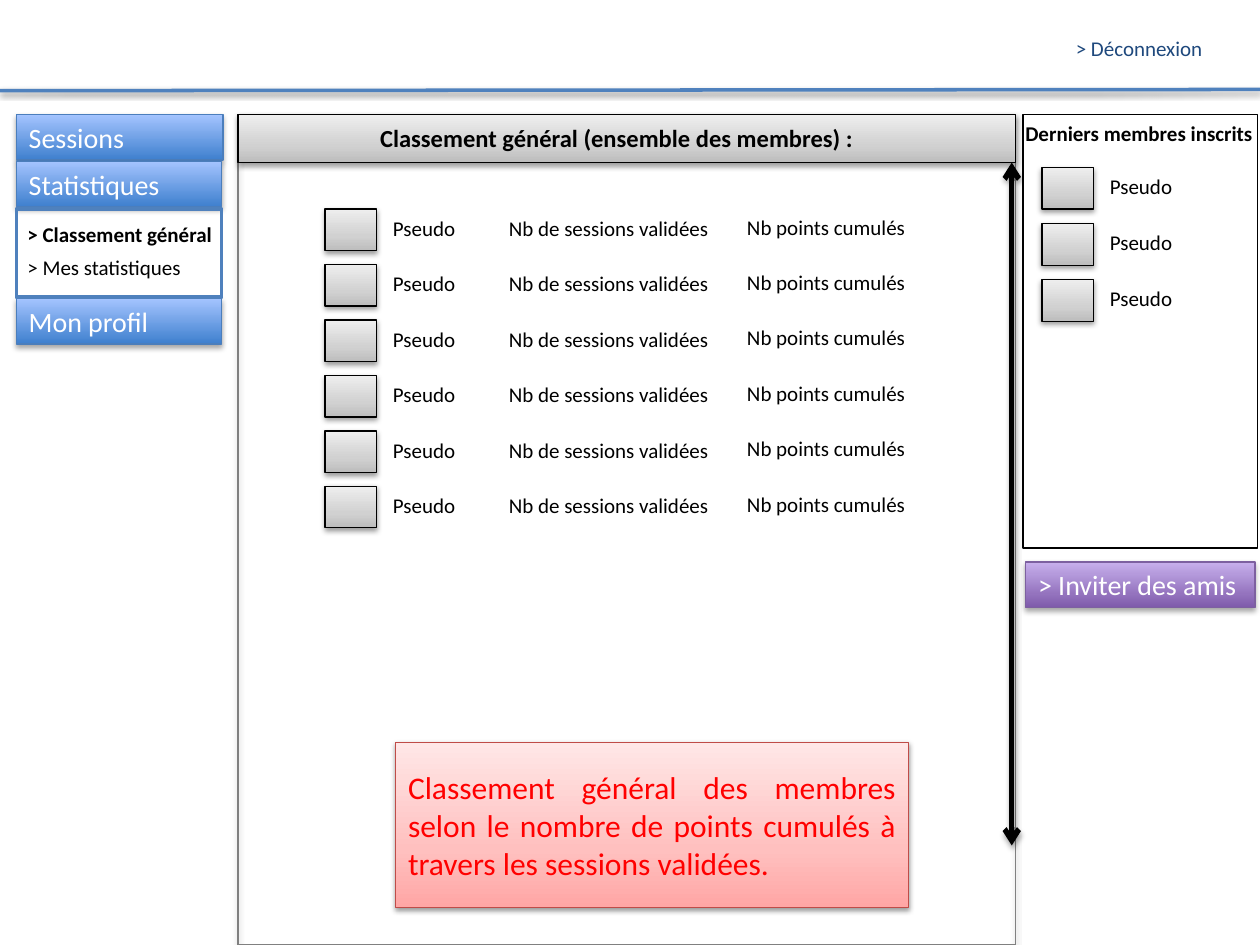
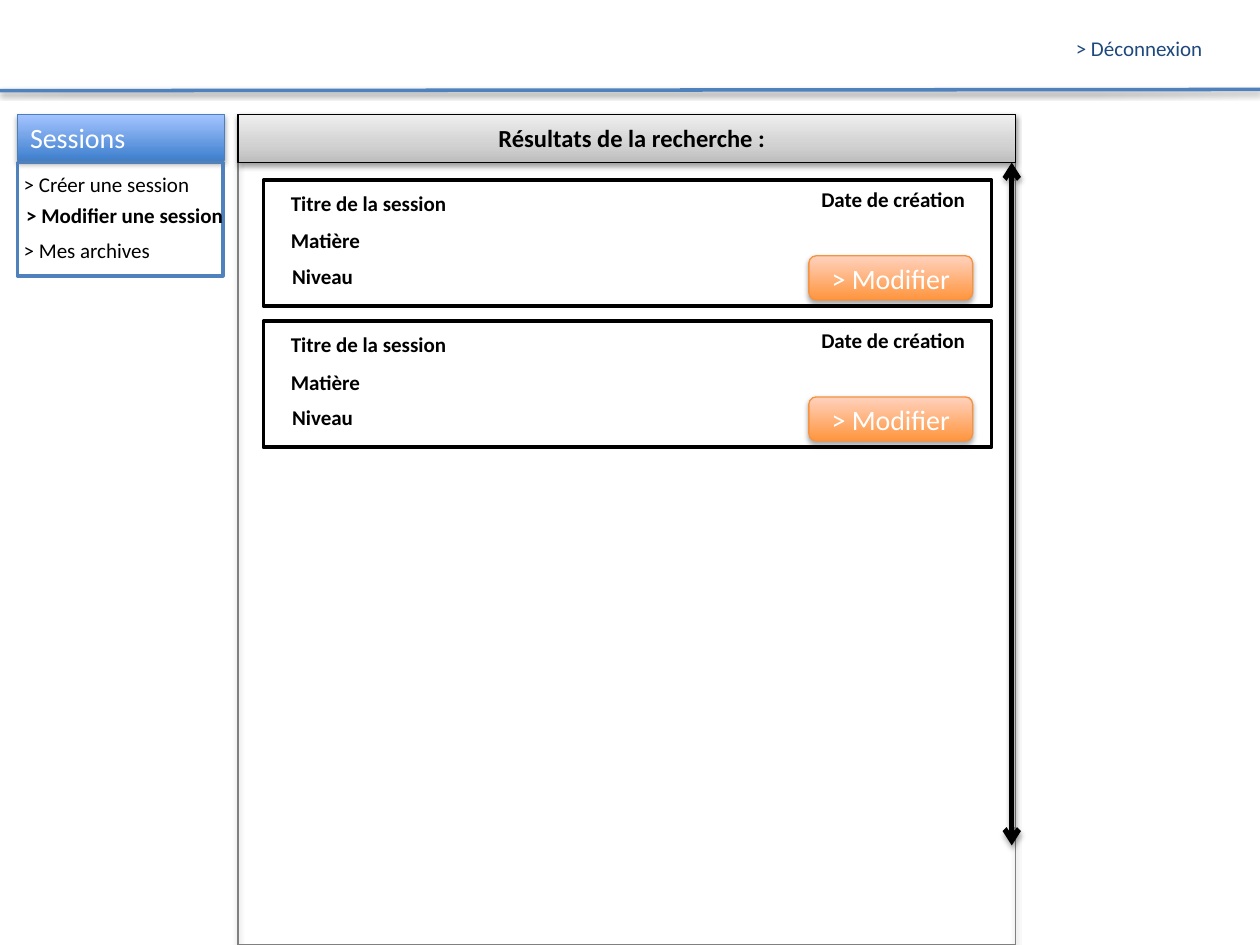
from lxml import etree
from pptx import Presentation
from pptx import util as u
from pptx.dml.color import RGBColor
from pptx.enum import shapes, text
from pptx.oxml import ns

FONT = "Calibri"
COLORS = {
    "black": "000000", "white": "FFFFFF", "red": "FF0000", "navy": "1F497D",
    "accent": "4F81BD", "frame": "808080", "blue edge": "4B7EBC",
    "violet edge": "7D60A0", "orange edge": "F69240", "red edge": "BF4C48",
}
GRADIENTS = {
    "gray": [(0, "BDBDBD"), (35, "D1D1D1"), (100, "EEEEEE")],
    "rose": [(0, "FFA6A5"), (35, "FFC0BF"), (100, "FFE7E7")],
    "blue": [(0, "3F80CE"), (100, "A4C4FF")],
    "violet": [(0, "7F5BAB"), (100, "C8B0ED")],
    "orange": [(0, "FF953E"), (100, "FFD2BD")],
}
SOFT = (38, 1.6)
DEEP = (35, 1.8)
ALIGN = {"l": text.PP_ALIGN.LEFT, "c": text.PP_ALIGN.CENTER, "j": text.PP_ALIGN.JUSTIFY}

LOGOUT = "> Déconnexion"
RANKING = {
    "title": ("Classement général (ensemble des membres) :", 2.16, 5.47),
    "buttons": [("Sessions", 0.13, 0.91, 1.64), ("Statistiques", 0.13, 1.28, 1.63),
                ("Mon profil", 0.13, 2.37, 1.63)],
    "submenu": (0.13, 1.66, 1.63, 0.7),
    "links": [("> Classement général", 0.12, 1.71, True),
              ("> Mes statistiques", 0.12, 1.97, False)],
}
SEARCH = {
    "title": ("Résultats de la recherche :", 3.65, 2.73),
    "buttons": [("Sessions", 0.14, 0.91, 1.64)],
    "submenu": (0.14, 1.29, 1.63, 0.9),
    "links": [("> Créer une session", 0.09, 1.31, False),
              ("> Modifier une session", 0.11, 1.56, True),
              ("> Mes archives", 0.09, 1.84, False)],
}
MEMBER_COLUMNS = [("Pseudo", 3.02, 0, 0.98), ("Nb points cumulés", 5.83, -0.01, 1.49),
                  ("Nb de sessions validées", 3.94, 0, 1.98)]
MEMBER_COUNT, MEMBER_TOP, MEMBER_STEP = 6, 1.66, 0.44
NEWCOMERS = ["Pseudo"] * 3
NEWCOMER_TOP, NEWCOMER_STEP = 1.33, 0.445
NEWCOMERS_TITLE = "Derniers membres inscrits"
INVITE = "> Inviter des amis"
NOTE = ("Classement général des membres selon le nombre de points cumulés "
        "à travers les sessions validées.")
SESSION_FIELDS = [("Titre de la session", 2.21, 0.03, 1.5), ("Matière", 2.21, 0.33, 1.5),
                  ("Niveau", 2.22, 0.61, 1.5), ("Date de création", 6.42, 0, 1.44)]
SESSION_BUTTON = "> Modifier"
SESSION_TOPS = [1.43, 2.55]


def color(name):
    return RGBColor.from_string(COLORS[name])


def add_shadow(properties, shadow):
    effects = properties.find(ns.qn("a:effectLst"))
    if effects is None:
        effects = etree.SubElement(properties, ns.qn("a:effectLst"))
    if shadow:
        opacity, distance = shadow
        outer = etree.SubElement(effects, ns.qn("a:outerShdw"), blurRad=str(u.Pt(3.1)),
                                 dist=str(u.Pt(distance)), dir="5400000", rotWithShape="0")
        tint = etree.SubElement(outer, ns.qn("a:srgbClr"), val=COLORS["black"])
        etree.SubElement(tint, ns.qn("a:alpha"), val=str(opacity * 1000))


def write(shape, words, size, ink, bold=False, align="l"):
    frame = shape.text_frame
    frame.word_wrap = True
    para = frame.paragraphs[0]
    para.alignment = ALIGN[align]
    span = para.add_run()
    span.text = words
    span.font.name = FONT
    span.font.size = u.Pt(size)
    span.font.bold = bold
    span.font.color.rgb = color(ink)


def add_label(page, words, left, top, width, size=12, ink="black", bold=False, align="l"):
    height = 0.34 if size == 14 else 0.3
    label = page.shapes.add_textbox(*map(u.Inches, (left, top, width, height)))
    write(label, words, size, ink, bold, align)
    label.text_frame.auto_size = text.MSO_AUTO_SIZE.SHAPE_TO_FIT_TEXT


def add_box(page, area, edge, weight=0.75, fill=None, shadow=None, rounded=False):
    kind = shapes.MSO_SHAPE.ROUNDED_RECTANGLE if rounded else shapes.MSO_SHAPE.RECTANGLE
    box = page.shapes.add_shape(kind, *map(u.Inches, area))
    if fill in GRADIENTS:
        box.fill.gradient()
        box.fill.gradient_angle = 90
        stops = box.element.spPr.find(".//" + ns.qn("a:gsLst"))
        for stop in list(stops):
            stops.remove(stop)
        for position, tone in GRADIENTS[fill]:
            stop = etree.SubElement(stops, ns.qn("a:gs"), pos=str(position * 1000))
            etree.SubElement(stop, ns.qn("a:srgbClr"), val=tone)
    elif fill:
        box.fill.solid()
        box.fill.fore_color.rgb = color(fill)
    else:
        box.fill.background()
    box.line.color.rgb = color(edge)
    box.line.width = u.Pt(weight)
    box.shadow.inherit = False
    add_shadow(box.element.spPr, shadow)
    box.text_frame.vertical_anchor = text.MSO_ANCHOR.MIDDLE
    return box


def add_button(page, words, area, tone, align="l", rounded=False):
    button = add_box(page, area, tone + " edge", fill=tone, shadow=DEEP, rounded=rounded)
    write(button, words, 16, "white", align=align)


def add_avatar(page, left, top):
    add_box(page, (left, top, 0.41, 0.33), "black", fill="gray", shadow=SOFT)


def add_line(page, start, end, ink, weight, shadow, arrows=False):
    line = page.shapes.add_connector(shapes.MSO_CONNECTOR.STRAIGHT,
                                     *map(u.Inches, start + end))
    line.line.color.rgb = color(ink)
    line.line.width = u.Pt(weight)
    if arrows:
        stroke = line.element.spPr.find(ns.qn("a:ln"))
        for tip in ("a:headEnd", "a:tailEnd"):
            etree.SubElement(stroke, ns.qn(tip), type="arrow")
    add_shadow(line.element.spPr, shadow)


def add_page(deck, content):
    page = deck.slides.add_slide(deck.slide_layouts[6])
    add_line(page, (0, 0.72), (10, 0.71), "accent", 2, SOFT)
    add_box(page, (1.89, 0.91, 6.17, 6.59), "frame", shadow=DEEP)
    add_label(page, LOGOUT, 8.44, 0.23, 1.34, ink="navy")
    add_line(page, (8.03, 1.29), (8.03, 6.71), "black", 3, DEEP, arrows=True)
    add_box(page, (1.89, 0.91, 6.17, 0.38), "black", fill="gray", shadow=SOFT)
    title, left, width = content["title"]
    add_label(page, title, left, 0.93, width, size=14, bold=True, align="c")
    for words, left, top, width in content["buttons"]:
        add_button(page, words, (left, top, width, 0.36), "blue")
    add_box(page, content["submenu"], "accent", weight=2)
    for words, left, top, bold in content["links"]:
        add_label(page, words, left, top, 1.86, bold=bold)
    return page


def add_ranking(deck):
    page = add_page(deck, RANKING)
    note = add_box(page, (3.14, 5.89, 4.07, 1.31), "red edge", fill="rose", shadow=SOFT)
    write(note, NOTE, 18, "red", align="j")
    for row in range(MEMBER_COUNT):
        top = MEMBER_TOP + row * MEMBER_STEP
        add_avatar(page, 2.58, top)
        for words, left, shift, width in MEMBER_COLUMNS:
            add_label(page, words, left, top + shift, width)
    add_box(page, (8.12, 0.91, 1.86, 3.44), "black", fill="white")
    add_label(page, NEWCOMERS_TITLE, 7.97, 0.91, 2.14, bold=True, align="c")
    for row, name in enumerate(NEWCOMERS):
        top = NEWCOMER_TOP + row * NEWCOMER_STEP
        add_avatar(page, 8.27, top)
        add_label(page, name, 8.71, top, 0.98)
    add_button(page, INVITE, (8.14, 4.46, 1.82, 0.36), "violet")


def add_search(deck):
    page = add_page(deck, SEARCH)
    for top in SESSION_TOPS:
        add_box(page, (2.09, top, 5.78, 1), "black", weight=2, fill="white")
        for words, left, shift, width in SESSION_FIELDS:
            add_label(page, words, left, top + shift, width, bold=True)
        add_button(page, SESSION_BUTTON, (6.42, top + 0.6, 1.3, 0.35), "orange",
                   align="c", rounded=True)


def main():
    deck = Presentation()
    deck.slide_width, deck.slide_height = u.Inches(10), u.Inches(7.5)
    add_ranking(deck)
    add_search(deck)
    deck.save("out.pptx")


if __name__ == "__main__":
    main()
